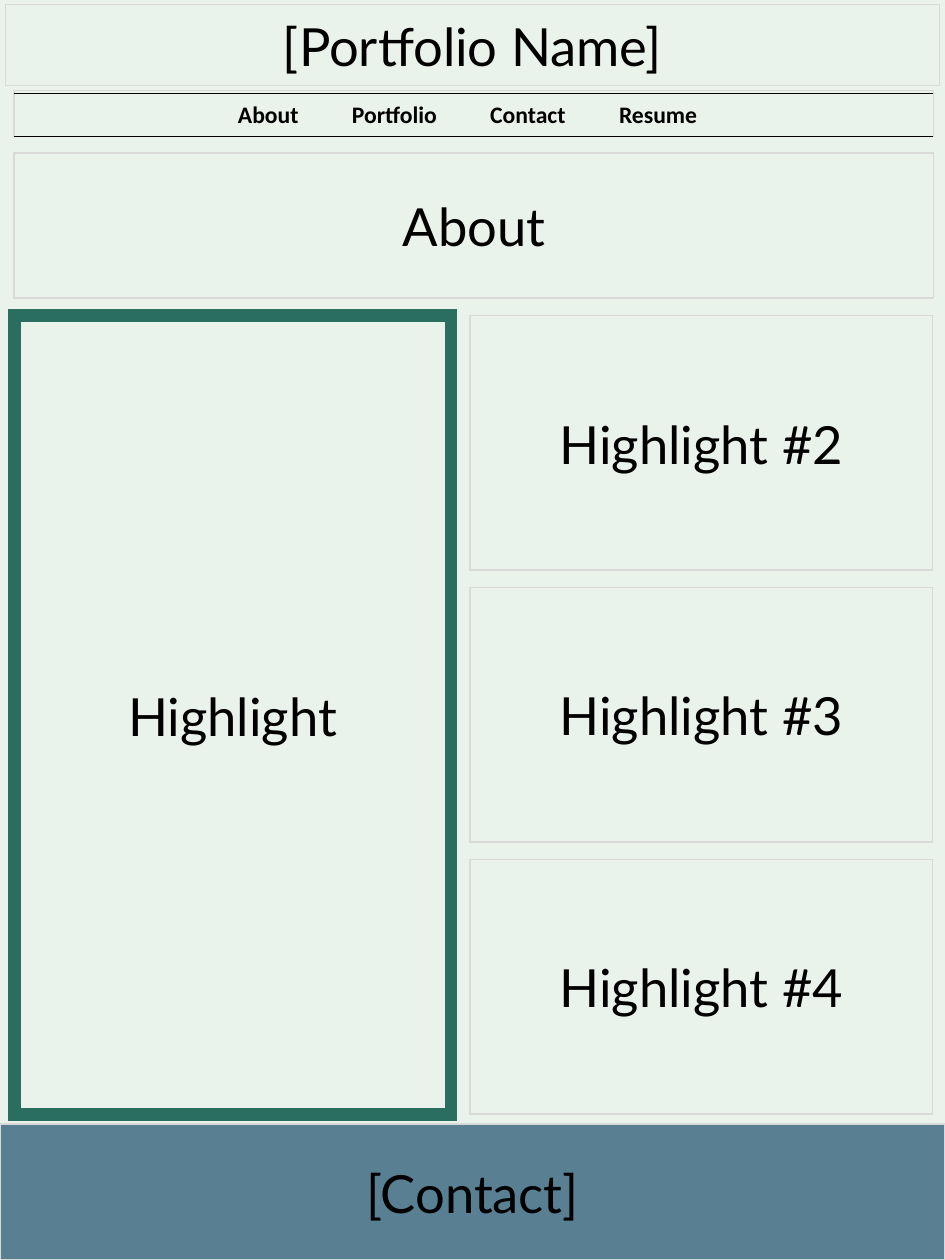
from lxml import etree
from pptx import Presentation
from pptx.dml.color import RGBColor
from pptx.enum.shapes import MSO_CONNECTOR, MSO_SHAPE
from pptx.enum.text import MSO_ANCHOR, MSO_AUTO_SIZE, PP_ALIGN
from pptx.oxml.ns import qn
from pptx.util import Cm, Pt

RECTANGLE = MSO_SHAPE.RECTANGLE
STRAIGHT = MSO_CONNECTOR.STRAIGHT
MIDDLE = MSO_ANCHOR.MIDDLE
NO_AUTOFIT = MSO_AUTO_SIZE.NONE
CENTER, LEFT = PP_ALIGN.CENTER, PP_ALIGN.LEFT

COLORS = {
    "paper": "EAF2EC",
    "hairline": "D9D9D9",
    "ink": "000000",
    "accent": "296E5E",
    "footer": "587F92",
}
PAGE_WIDTH, PAGE_HEIGHT = 25.37, 33.83
MARGIN, CONTENT_WIDTH = 0.38, 24.69
HIGHLIGHT_TOP = 8.48


def write_text(frame, text, font="Lato", size=40, bold=False, align=CENTER):
    """Write one vertically centred paragraph and return it."""
    frame.word_wrap = True
    frame.auto_size = NO_AUTOFIT
    frame.vertical_anchor = MIDDLE
    paragraph = frame.paragraphs[0]
    paragraph.alignment = align
    run = paragraph.add_run()
    run.text = text
    run.font.name = font
    run.font.size = Pt(size)
    run.font.bold = bold
    run.font.color.rgb = RGBColor.from_string(COLORS["ink"])
    return paragraph


def style_box(box, fill=None, line="hairline", weight=1):
    """Give a box its fill and a sharp-cornered outline."""
    if fill:
        box.fill.solid()
        box.fill.fore_color.rgb = RGBColor.from_string(COLORS[fill])
    else:
        box.fill.background()
    box.line.color.rgb = RGBColor.from_string(COLORS[line])
    box.line.width = Pt(weight)
    etree.SubElement(box.line._get_or_add_ln(), qn("a:miter"), lim="800000")


prs = Presentation()
prs.slide_width, prs.slide_height = Cm(PAGE_WIDTH), Cm(PAGE_HEIGHT)
slide = prs.slides.add_slide(prs.slide_layouts[5])
slide.background.fill.solid()
slide.background.fill.fore_color.rgb = RGBColor.from_string(COLORS["paper"])

# Portfolio name
header = slide.shapes.title
header.left, header.top, header.width, header.height = Cm(0.15), Cm(0.13), Cm(25.07), Cm(2.16)
style_box(header)
write_text(header.text_frame, "[Portfolio Name]")

# Navigation bar: entries sit on tab stops, measured from the first entry
nav_bar = slide.shapes.add_shape(RECTANGLE, Cm(MARGIN), Cm(2.44), Cm(CONTENT_WIDTH), Cm(1.22))
nav_bar.shadow.inherit = False
style_box(nav_bar)
nav_bar.text_frame.margin_left = Cm(6.01)
nav_entries = write_text(nav_bar.text_frame, "About\tPortfolio\tContact\tResume",
                         font="Calibri", size=18, bold=True, align=LEFT)
tab_stops = etree.SubElement(nav_entries._p.get_or_add_pPr(), qn("a:tabLst"))
for position in (3.06, 6.77, 10.23):
    etree.SubElement(tab_stops, qn("a:tab"), pos=str(Cm(position)), algn="l")

for rule_y in (3.66, 2.51):
    rule = slide.shapes.add_connector(STRAIGHT, Cm(MARGIN), Cm(rule_y), Cm(25.04), Cm(rule_y))
    rule.line.color.rgb = RGBColor.from_string(COLORS["ink"])
    rule.line.width = Pt(0.5)
    etree.SubElement(rule._element.spPr, qn("a:effectLst"))

# Page sections: text, left, top, width, height, outline and fill
sections = [
    ("[Contact]", 0, 30.18, PAGE_WIDTH, 3.65, {"fill": "footer"}),
    ("Highlight", MARGIN, HIGHLIGHT_TOP, 11.73, 21.44,
     {"fill": "paper", "line": "accent", "weight": 9.75}),
]
for row in range(3):
    sections.append((f"Highlight #{row + 2}", 12.62, HIGHLIGHT_TOP + row * 7.3, 12.42, 6.83, {}))
sections.append(("About", MARGIN, 4.11, CONTENT_WIDTH, 3.89, {}))

for text, left, top, width, height, look in sections:
    section = slide.shapes.add_shape(RECTANGLE, Cm(left), Cm(top), Cm(width), Cm(height))
    section.shadow.inherit = False
    style_box(section, **look)
    write_text(section.text_frame, text)

prs.save("out.pptx")
